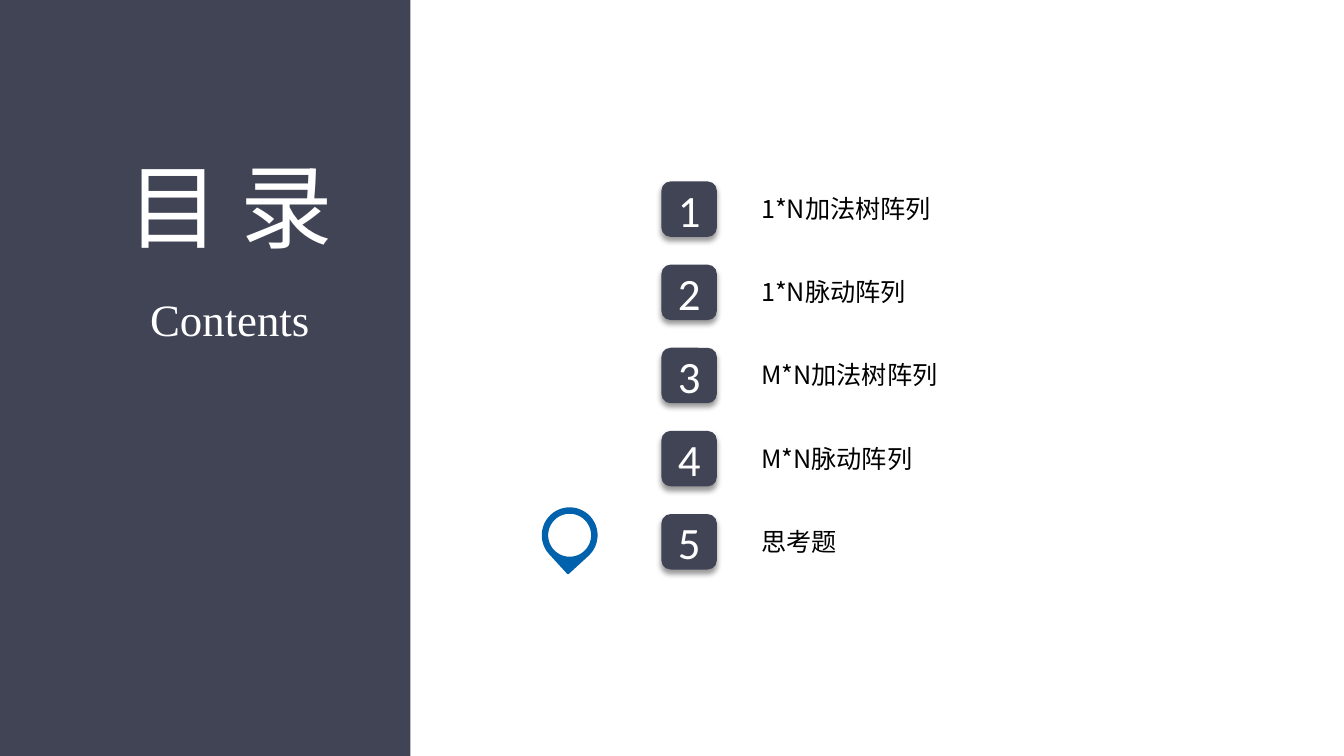
from dataclasses import dataclass

from lxml import etree
from pptx import Presentation
from pptx.dml.color import RGBColor
from pptx.enum.shapes import MSO_SHAPE
from pptx.enum.text import MSO_ANCHOR, MSO_AUTO_SIZE, PP_ALIGN
from pptx.oxml.ns import qn
from pptx.util import Inches, Pt

RECTANGLE, ROUNDED = MSO_SHAPE.RECTANGLE, MSO_SHAPE.ROUNDED_RECTANGLE
TEARDROP, OVAL = MSO_SHAPE.TEAR, MSO_SHAPE.OVAL
LEFT, CENTER = PP_ALIGN.LEFT, PP_ALIGN.CENTER
MIDDLE = MSO_ANCHOR.MIDDLE
GROW = MSO_AUTO_SIZE.SHAPE_TO_FIT_TEXT


@dataclass(frozen=True)
class Theme:
    """Colours, fonts and type sizes of the deck."""
    slate: str = "414455"
    blue: str = "0062AC"
    white: str = "FFFFFF"
    black: str = "000000"
    chinese: str = "Noto Sans CJK SC"
    digits: str = "Calibri"
    english: str = "Times New Roman"
    title: int = 66
    subtitle: int = 32
    number: int = 32
    topic: int = 18


THEME = Theme()
TOPICS = [
    ("1*N加法树阵列", 2.08, True),
    ("1*N脉动阵列", 2.47, True),
    ("M*N加法树阵列", 2.03, False),
    ("M*N脉动阵列", 1.78, False),
    ("思考题", 0.96, False),
]


def write(frame, text, *, font, size, color, align=LEFT):
    """Fill a text frame with one formatted paragraph."""
    paragraph = frame.paragraphs[0]
    paragraph.alignment = align
    run = paragraph.add_run()
    run.text = text
    run.font.name = font
    run.font.size = Pt(size)
    run.font.color.rgb = RGBColor.from_string(color)
    east_asian = etree.Element(qn("a:ea"), typeface=font)
    run.font._element.find(qn("a:latin")).addnext(east_asian)


def add_label(slide, text, box, *, wrap=False, **style):
    """Add a text box that grows with its text."""
    frame = slide.shapes.add_textbox(*map(Inches, box)).text_frame
    frame.word_wrap = wrap
    frame.auto_size = GROW
    write(frame, text, **style)


def add_block(shapes, kind, box, fill, line=None):
    """Add a filled preset shape, outlined only when a line colour is given."""
    block = shapes.add_shape(kind, *map(Inches, box))
    block.shadow.inherit = False
    block.fill.solid()
    block.fill.fore_color.rgb = RGBColor.from_string(fill)
    if line:
        block.line.color.rgb = RGBColor.from_string(line)
        block.line.width = Pt(1)
    else:
        block.line.fill.background()
    return block


def cast_shadow(block):
    """Give a shape a soft shadow straight below it."""
    effects = block._element.spPr.find(qn("a:effectLst"))
    shadow = etree.SubElement(
        effects, qn("a:outerShdw"), blurRad=str(Pt(4)), dist=str(Pt(3)),
        dir="5400000", algn="t", rotWithShape="0")
    color = etree.SubElement(shadow, qn("a:srgbClr"), val=THEME.black)
    etree.SubElement(color, qn("a:alpha"), val="40000")


def add_topics(slide, left, top, pitch=0.825, side=0.55):
    """Stack the numbered topics from the given corner."""
    for index, (topic, width, wrap) in enumerate(TOPICS):
        y = top + index * pitch
        badge = add_block(slide.shapes, ROUNDED, (left, y, side, side), THEME.slate)
        cast_shadow(badge)
        badge.text_frame.vertical_anchor = MIDDLE
        write(badge.text_frame, str(index + 1), font=THEME.digits,
              size=THEME.number, color=THEME.white, align=CENTER)
        add_label(slide, topic, (left + 0.89, y + 0.07, width, 0.4), wrap=wrap,
                  font=THEME.chinese, size=THEME.topic, color=THEME.black)


def add_title_panel(slide, left, top, width, height):
    """Draw the dark side panel with the heading in both languages."""
    add_block(slide.shapes, RECTANGLE, (left, top, width, height), THEME.slate)
    add_label(slide, "目 录", (left + 1.02, top + 1.43, 2.52, 1.21),
              font=THEME.chinese, size=THEME.title, color=THEME.white, align=CENTER)
    add_label(slide, "Contents", (left + 1.38, top + 2.84, 1.8, 0.64),
              font=THEME.english, size=THEME.subtitle, color=THEME.white, align=CENTER)


def add_pin(slide, left, top, side=0.54, rim=0.05):
    """Draw the location pin that marks the current topic."""
    pin = slide.shapes.add_group_shape()
    drop = add_block(pin.shapes, TEARDROP, (left, top, side, side),
                     THEME.blue, THEME.blue)
    drop.rotation = 137.5
    hole = side - 2 * rim
    add_block(pin.shapes, OVAL, (left + rim, top + rim, hole, hole),
              THEME.white, THEME.blue)


def main():
    """Build the contents slide and save it."""
    deck = Presentation()
    deck.slide_width, deck.slide_height = Inches(13.33), Inches(7.5)
    slide = deck.slides.add_slide(deck.slide_layouts[6])
    add_topics(slide, 6.56, 1.8)
    add_title_panel(slide, 0, 0, 4.07, 7.5)
    add_pin(slide, 5.38, 5.04)
    deck.save("out.pptx")


if __name__ == "__main__":
    main()
